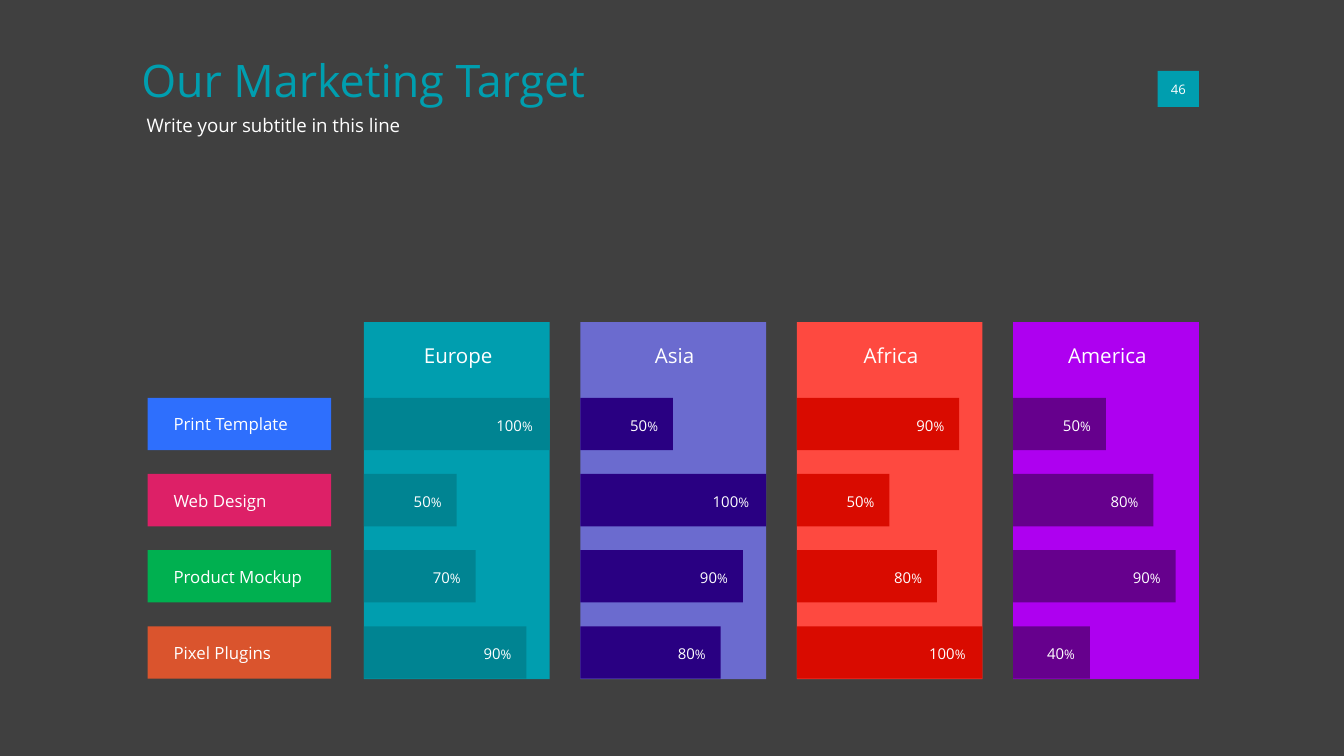
import pptx
import pptx.dml.color
import pptx.enum.shapes
import pptx.enum.text
import pptx.oxml.ns
import pptx.util
from lxml import etree

Cm = pptx.util.Cm
RGBColor = pptx.dml.color.RGBColor
ALIGN = pptx.enum.text.PP_ALIGN
ANCHOR = pptx.enum.text.MSO_ANCHOR

FONT = "Open Sans"
BACKGROUND = RGBColor(0x40, 0x40, 0x40)
WHITE = RGBColor(0xFF, 0xFF, 0xFF)
TEAL = RGBColor(0x00, 0x9E, 0xAF)
DARK_TEAL = RGBColor(0x00, 0x84, 0x92)
LAVENDER = RGBColor(0x6B, 0x6B, 0xCF)
INDIGO = RGBColor(0x29, 0x00, 0x82)
CORAL = RGBColor(0xFE, 0x49, 0x40)
RED = RGBColor(0xD9, 0x0B, 0x00)
VIOLET = RGBColor(0xAE, 0x00, 0xF0)
PURPLE = RGBColor(0x66, 0x00, 0x8D)
BLUE = RGBColor(0x2E, 0x6F, 0xFD)
PINK = RGBColor(0xDD, 0x20, 0x67)
GREEN = RGBColor(0x00, 0xB0, 0x50)
ORANGE = RGBColor(0xDA, 0x54, 0x2D)

# Region, column colour, bar colour, share per product
REGIONS = [
    ("Europe", TEAL, DARK_TEAL, (100, 50, 70, 90)),
    ("Asia", LAVENDER, INDIGO, (50, 100, 90, 80)),
    ("Africa", CORAL, RED, (90, 50, 80, 100)),
    ("America", VIOLET, PURPLE, (50, 80, 90, 40)),
]
PRODUCTS = [
    ("Print Template", BLUE),
    ("Web Design", PINK),
    ("Product Mockup", GREEN),
    ("Pixel Plugins", ORANGE),
]
# Bar lengths in cm; they are not strictly proportional to the share
BAR_LENGTHS = {40: 1.45, 50: 1.75, 70: 2.11, 80: 2.65, 90: 3.07, 100: 3.51}

# Grid in cm
COLUMN_LEFT, COLUMN_PITCH, COLUMN_WIDTH = 6.88, 4.09, 3.51
COLUMN_TOP, COLUMN_HEIGHT = 6.09, 6.75
ROW_TOP, ROW_PITCH, ROW_HEIGHT = 7.52, 1.44, 0.99


def add_block(slide, left, top, width, height, color):
    block = slide.shapes.add_shape(
        pptx.enum.shapes.MSO_SHAPE.RECTANGLE,
        Cm(left), Cm(top), Cm(width), Cm(height))
    block.shadow.inherit = False
    block.fill.solid()
    block.fill.fore_color.rgb = color
    block.line.fill.background()


def write(frame, runs, color=WHITE, align=ALIGN.LEFT, anchor=ANCHOR.TOP,
          inset=0, wrap=True):
    """Fill a text frame with one paragraph of (text, size) runs."""
    frame.auto_size = pptx.enum.text.MSO_AUTO_SIZE.NONE
    frame.word_wrap = wrap
    frame.vertical_anchor = anchor
    frame.margin_left = frame.margin_right = Cm(inset)
    frame.margin_top = frame.margin_bottom = Cm(inset)
    paragraph = frame.paragraphs[0]
    paragraph.alignment = align
    for text, size in runs:
        run = paragraph.add_run()
        run.text = text
        run.font.name = FONT
        run.font.size = pptx.util.Pt(size)
        run.font.color.rgb = color


def add_label(slide, left, top, width, height, runs, **style):
    label = slide.shapes.add_textbox(Cm(left), Cm(top), Cm(width), Cm(height))
    write(label.text_frame, runs, **style)


def place(placeholder, left, top, width, height):
    placeholder.left, placeholder.top = Cm(left), Cm(top)
    placeholder.width, placeholder.height = Cm(width), Cm(height)


def add_heading(slide):
    title, subtitle = slide.shapes.title, slide.placeholders[1]
    place(title, 2.67, 0.99, 12.09, 1.24)
    write(title.text_frame, [("Our Marketing Target", 24)], color=TEAL)

    # Subtitle without the bullet and indent of the body style
    place(subtitle, 2.77, 2.16, 17.55, 0.58)
    paragraph = subtitle.text_frame.paragraphs[0]
    paragraph.space_before = pptx.util.Pt(0)
    properties = paragraph._p.get_or_add_pPr()
    properties.set("marL", "0")
    properties.set("indent", "0")
    etree.SubElement(properties, pptx.oxml.ns.qn("a:buNone"))
    write(subtitle.text_frame, [("Write your subtitle in this line", 10)])


def add_page_number(slide):
    add_block(slide, 21.88, 1.34, 0.78, 0.68, TEAL)
    add_label(slide, 22.13, 1.53, 0.28, 0.3, [("46", 7)],
              align=ALIGN.CENTER, anchor=ANCHOR.MIDDLE, wrap=False)


def add_bar(slide, left, top, share, color):
    length = BAR_LENGTHS[share]
    add_block(slide, left, top, length, ROW_HEIGHT, color)
    label_width = 1.16 if share == 100 else 0.96
    add_label(slide, left + length - label_width, top + 0.2, label_width, 0.84,
              [(str(share), 8), ("%", 7)], inset=0.15)


def add_region(slide, left, name, column_color, bar_color, shares):
    add_block(slide, left, COLUMN_TOP, COLUMN_WIDTH, COLUMN_HEIGHT, column_color)
    add_label(slide, left + 0.04, COLUMN_TOP + 0.29, 3.48, 0.74, [(name, 11)],
              align=ALIGN.CENTER, inset=0.1)
    for row, share in enumerate(shares):
        add_bar(slide, left, ROW_TOP + row * ROW_PITCH, share, bar_color)


def add_product(slide, top, name, color):
    add_block(slide, 2.79, top, 3.47, ROW_HEIGHT, color)
    add_label(slide, 3.18, top + 0.13, 2.75, 0.74, [(name, 9)],
              anchor=ANCHOR.MIDDLE, inset=0.1)


def main():
    deck = pptx.Presentation()
    deck.slide_width, deck.slide_height = Cm(25.4), Cm(14.29)
    slide = deck.slides.add_slide(deck.slide_layouts[1])
    slide.background.fill.solid()
    slide.background.fill.fore_color.rgb = BACKGROUND

    add_heading(slide)
    add_page_number(slide)

    # Region columns with their bars
    for column, region in enumerate(REGIONS):
        add_region(slide, COLUMN_LEFT + column * COLUMN_PITCH, *region)

    # Product names beside the rows
    for row, product in enumerate(PRODUCTS):
        add_product(slide, ROW_TOP + row * ROW_PITCH, *product)

    deck.save("out.pptx")


if __name__ == "__main__":
    main()
